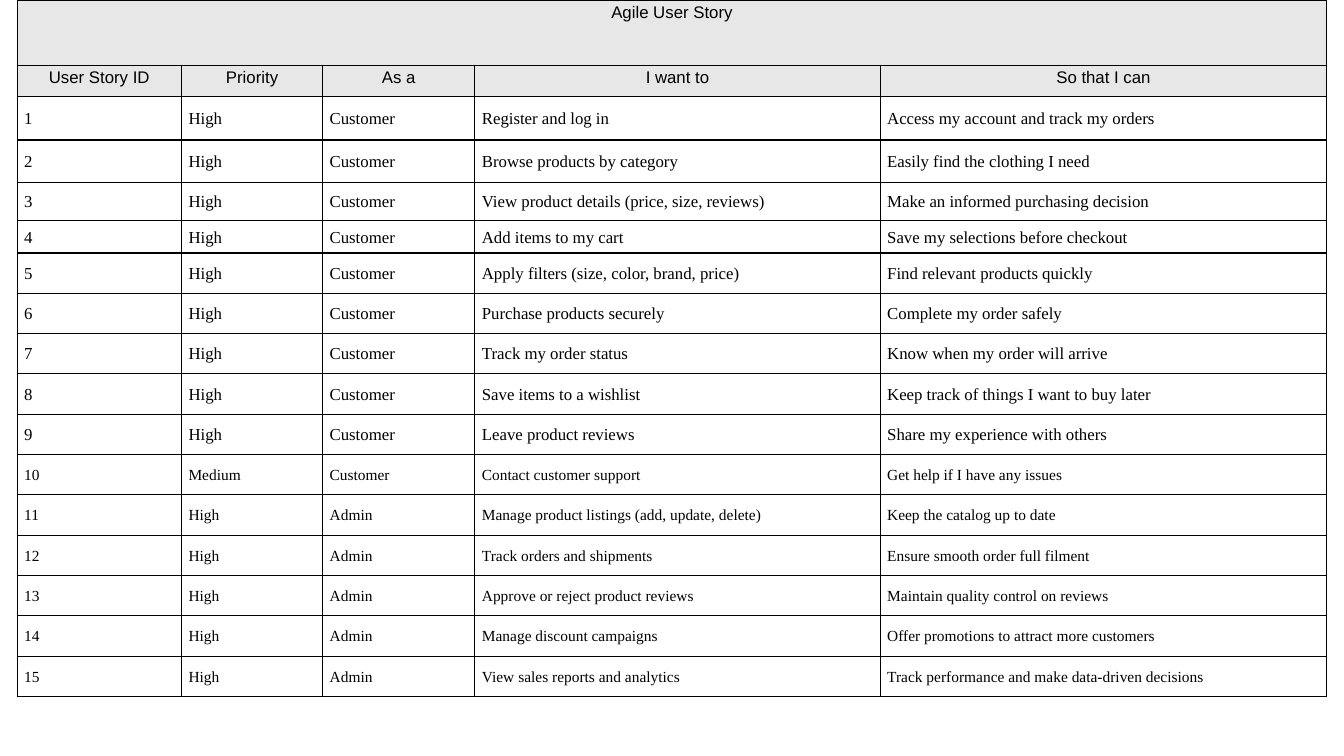
from typing import NamedTuple

from lxml import etree
from pptx import Presentation
from pptx.dml.color import RGBColor
from pptx.enum.text import MSO_ANCHOR, PP_ALIGN
from pptx.oxml.ns import qn
from pptx.table import _Cell
from pptx.util import Inches, Pt

BLACK = RGBColor(0x00, 0x00, 0x00)
HEADER_GRAY = RGBColor(0xE7, 0xE7, 0xE7)
CENTER, LEFT = PP_ALIGN.CENTER, PP_ALIGN.LEFT
TOP, MIDDLE = MSO_ANCHOR.TOP, MSO_ANCHOR.MIDDLE

COL_WIDTHS = [1.63, 1.4, 1.51, 4.02, 4.43]
ROW_HEIGHTS = [0.65, 0.31, 0.43, 0.42, 0.38, 0.32] + [0.4] * 11
TITLE = "Agile User Story"
HEADINGS = ["User Story ID", "Priority", "As a", "I want to", "So that I can"]
FIRST_SMALL_ID = 10


class Story(NamedTuple):
    want: str
    benefit: str
    role: str = "Customer"
    priority: str = "High"


STORIES = [
    Story("Register and log in", "Access my account and track my orders"),
    Story("Browse products by category", "Easily find the clothing I need"),
    Story("View product details (price, size, reviews)", "Make an informed purchasing decision"),
    Story("Add items to my cart", "Save my selections before checkout"),
    Story("Apply filters (size, color, brand, price)", "Find relevant products quickly"),
    Story("Purchase products securely", "Complete my order safely"),
    Story("Track my order status", "Know when my order will arrive"),
    Story("Save items to a wishlist", "Keep track of things I want to buy later"),
    Story("Leave product reviews", "Share my experience with others"),
    Story("Contact customer support", "Get help if I have any issues", priority="Medium"),
    Story("Manage product listings (add, update, delete)", "Keep the catalog up to date", "Admin"),
    Story("Track orders and shipments", "Ensure smooth order full filment", "Admin"),
    Story("Approve or reject product reviews", "Maintain quality control on reviews", "Admin"),
    Story("Manage discount campaigns", "Offer promotions to attract more customers", "Admin"),
    Story("View sales reports and analytics", "Track performance and make data-driven decisions", "Admin"),
]


def set_borders(cell: _Cell) -> None:
    tc_pr = cell._tc.get_or_add_tcPr()
    for side in ("lnL", "lnR", "lnT", "lnB"):
        ln = etree.SubElement(tc_pr, qn(f"a:{side}"), w=str(Pt(1)))
        fill = etree.SubElement(ln, qn("a:solidFill"))
        etree.SubElement(fill, qn("a:srgbClr"), val=str(BLACK))


def set_text(cell: _Cell, text: str, *, font: str, size: float, align: PP_ALIGN,
             anchor: MSO_ANCHOR, inset: float, spacing: float, after: float) -> None:
    cell.vertical_anchor = anchor
    cell.margin_left = cell.margin_right = Inches(inset)
    cell.margin_top = cell.margin_bottom = 0
    p = cell.text_frame.paragraphs[0]
    p.alignment = align
    p.line_spacing = spacing
    p.space_after = Pt(after)
    r = p.add_run()
    r.text = text
    r.font.name = font
    r.font.size = Pt(size)
    r.font.bold = False
    r.font.color.rgb = BLACK


def write_header(cell: _Cell, text: str) -> None:
    set_text(cell, text, font="Arial", size=12, align=CENTER, anchor=TOP,
             inset=0.06, spacing=1.15, after=0)


def write_body(cell: _Cell, text: str, size: float) -> None:
    set_text(cell, text, font="Times New Roman", size=size, align=LEFT, anchor=MIDDLE,
             inset=0.07, spacing=1.07, after=8)


def main() -> None:
    prs = Presentation()
    prs.slide_width, prs.slide_height = Inches(13.33), Inches(7.5)
    s = prs.slides.add_slide(prs.slide_layouts[6])
    table = s.shapes.add_table(
        len(ROW_HEIGHTS), len(COL_WIDTHS), Inches(0.17), 0,
        Inches(sum(COL_WIDTHS)), Inches(sum(ROW_HEIGHTS))).table
    table.first_row = table.horz_banding = False
    for column, width in zip(table.columns, COL_WIDTHS):
        column.width = Inches(width)
    for i, (row, height) in enumerate(zip(table.rows, ROW_HEIGHTS)):
        row.height = Inches(height)
        for cell in row.cells:
            set_borders(cell)
            if i < 2:
                cell.fill.solid()
                cell.fill.fore_color.rgb = HEADER_GRAY
            else:
                cell.fill.background()

    table.cell(0, 0).merge(table.cell(0, len(COL_WIDTHS) - 1))
    write_header(table.cell(0, 0), TITLE)
    for col, heading in enumerate(HEADINGS):
        write_header(table.cell(1, col), heading)
    for number, story in enumerate(STORIES, 1):
        size = 11 if number >= FIRST_SMALL_ID else 12
        values = [str(number), story.priority, story.role, story.want, story.benefit]
        for col, value in enumerate(values):
            write_body(table.cell(number + 1, col), value, size)
    prs.save("out.pptx")


if __name__ == "__main__":
    main()
